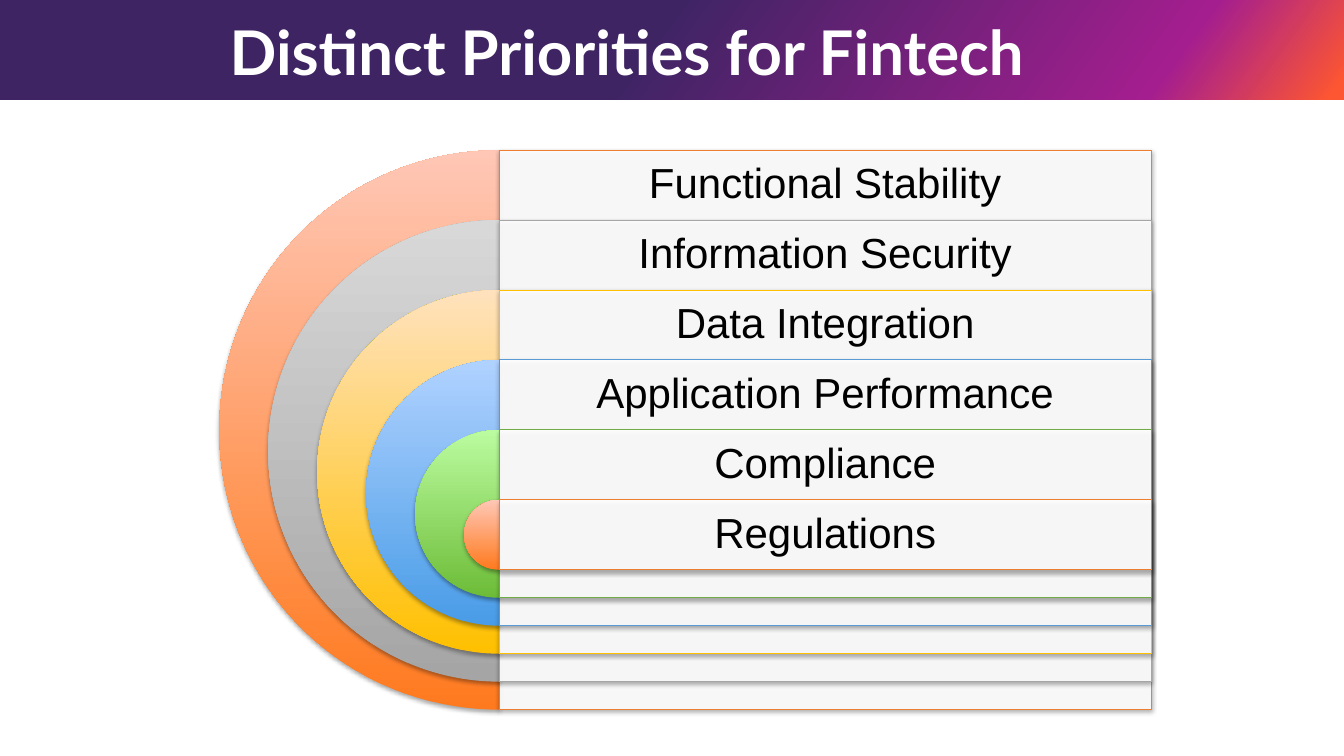
"""Build the slide on distinct priorities for fintech."""
import pptx
import pptx.util
from lxml import etree
from pptx.dml.color import RGBColor
from pptx.enum.shapes import MSO_SHAPE
from pptx.enum.text import MSO_ANCHOR, PP_ALIGN
from pptx.oxml.ns import qn
from pptx.util import Inches, Pt

WHITE = RGBColor(0xFF, 0xFF, 0xFF)
BLACK = RGBColor(0x00, 0x00, 0x00)
PURPLE = RGBColor(0x3F, 0x24, 0x64)
MAGENTA = RGBColor(0xA4, 0x1E, 0x8F)
FLAME = RGBColor(0xFD, 0x56, 0x32)
ORANGE = RGBColor(0xFF, 0x7A, 0x1F)
PALE_ORANGE = RGBColor(0xFF, 0xC7, 0xB6)
ORANGE_LINE = RGBColor(0xED, 0x7D, 0x31)
GRAY = RGBColor(0xA5, 0xA5, 0xA5)
PALE_GRAY = RGBColor(0xD8, 0xD8, 0xD8)
GOLD = RGBColor(0xFF, 0xC0, 0x00)
PALE_GOLD = RGBColor(0xFF, 0xE2, 0xBD)
BLUE = RGBColor(0x49, 0x9C, 0xE7)
PALE_BLUE = RGBColor(0xB0, 0xD2, 0xFF)
BLUE_LINE = RGBColor(0x5B, 0x9B, 0xD5)
GREEN = RGBColor(0x6D, 0xBC, 0x38)
PALE_GREEN = RGBColor(0xBB, 0xFC, 0xA0)
GREEN_LINE = RGBColor(0x70, 0xAD, 0x47)

PRIORITIES = [
    ("Functional Stability", ORANGE, PALE_ORANGE, ORANGE_LINE),
    ("Information Security", GRAY, PALE_GRAY, GRAY),
    ("Data Integration", GOLD, PALE_GOLD, GOLD),
    ("Application Performance", BLUE, PALE_BLUE, BLUE_LINE),
    ("Compliance", GREEN, PALE_GREEN, GREEN_LINE),
    ("Regulations", ORANGE, PALE_ORANGE, ORANGE_LINE),
]
CENTER, TOP, PANEL_WIDTH = Inches(4.95), Inches(1.49), Inches(6.47)
DIAMETER = Inches(5.55)
ROW_HEIGHT = DIAMETER // 8
SHRINK = (DIAMETER - ROW_HEIGHT) // (len(PRIORITIES) - 1)


class SlideBuilder:
    """Hold the slide and its style, and add each kind of element."""

    def __init__(self, slide):
        self.slide = slide

    def shape(self, kind, left, top, width, height):
        """Add a preset shape without line or shadow."""
        shape = self.slide.shapes.add_shape(kind, left, top, width, height)
        shape.shadow.inherit = False
        shape.line.fill.background()
        return shape

    def color(self, parent, color, alpha=100):
        """Append a colour with opacity to an XML element."""
        element = etree.SubElement(parent, qn("a:srgbClr"), val=str(color))
        etree.SubElement(element, qn("a:alpha"), val=str(alpha * 1000))

    def gradient(self, shape, stops, angle):
        """Fill a shape with gradient stops at a counterclockwise angle."""
        shape.fill.gradient()
        shape.fill.gradient_angle = angle
        stop_list = shape.element.spPr.find(".//" + qn("a:gsLst"))
        for old_stop in list(stop_list):
            stop_list.remove(old_stop)
        for position, color in stops:
            stop = etree.SubElement(stop_list, qn("a:gs"), pos=str(position * 1000))
            self.color(stop, color)

    def shadow(self, shape):
        """Give a shape a soft shadow below."""
        effects = shape.element.spPr.find(qn("a:effectLst"))
        shadow = etree.SubElement(
            effects, qn("a:outerShdw"), blurRad=str(Pt(3.1)), dist=str(Pt(1.8)),
            dir="5400000", algn="ctr", rotWithShape="0")
        self.color(shadow, BLACK, 35)

    def header(self):
        """Add the gradient band at the top."""
        band = self.shape(MSO_SHAPE.RECTANGLE, 0, 0, Inches(13.33), Inches(0.99))
        stops = [(0, PURPLE), (48, PURPLE), (86, MAGENTA), (99, FLAME), (100, FLAME)]
        self.gradient(band, stops, 324)

    def half_disc(self, top, diameter, color, pale):
        """Add the left half of a disc."""
        disc = self.shape(MSO_SHAPE.PIE, CENTER - diameter // 2, top, diameter, diameter)
        disc.adjustments[0] = 54
        disc.adjustments[1] = 162
        self.gradient(disc, [(0, color), (100, pale)], 90)
        self.shadow(disc)

    def panel(self, top, height, line_color):
        """Add a translucent white panel."""
        panel = self.shape(MSO_SHAPE.RECTANGLE, CENTER, top, PANEL_WIDTH, height)
        panel.fill.solid()
        panel.fill.fore_color.rgb = WHITE
        fill_color = panel.element.spPr.find(qn("a:solidFill"))[0]
        etree.SubElement(fill_color, qn("a:alpha"), val="90000")
        panel.line.color.rgb = line_color
        panel.line.width = Pt(0.75)
        self.shadow(panel)

    def text(self, words, left, top, width, height, size, font, color,
             bold=False, align=PP_ALIGN.LEFT, anchor=MSO_ANCHOR.TOP):
        """Add a line of text."""
        frame = self.slide.shapes.add_textbox(left, top, width, height).text_frame
        frame.word_wrap = True
        frame.vertical_anchor = anchor
        paragraph = frame.paragraphs[0]
        paragraph.text = words
        paragraph.alignment = align
        paragraph.line_spacing = 0.9
        paragraph.font.size = Pt(size)
        paragraph.font.name = font
        paragraph.font.bold = bold
        paragraph.font.color.rgb = color


def main():
    """Build and save the presentation."""
    presentation = pptx.Presentation()
    presentation.slide_width = Inches(13.33)
    presentation.slide_height = Inches(7.5)
    builder = SlideBuilder(presentation.slides.add_slide(presentation.slide_layouts[6]))
    builder.header()
    for index, (label, color, pale, line_color) in enumerate(PRIORITIES):
        top = TOP + index * ROW_HEIGHT
        diameter = DIAMETER - index * SHRINK
        builder.half_disc(top, diameter, color, pale)
        builder.panel(top, diameter, line_color)
        builder.text(label, CENTER, top, PANEL_WIDTH, ROW_HEIGHT, 30, "Arial", BLACK,
                     align=PP_ALIGN.CENTER, anchor=MSO_ANCHOR.MIDDLE)
    builder.text("Distinct Priorities for Fintech", Inches(2.18), Inches(0.17),
                 Inches(10.21), Inches(1.22), 44, "Lato", WHITE, bold=True)
    presentation.save("out.pptx")


if __name__ == "__main__":
    main()
